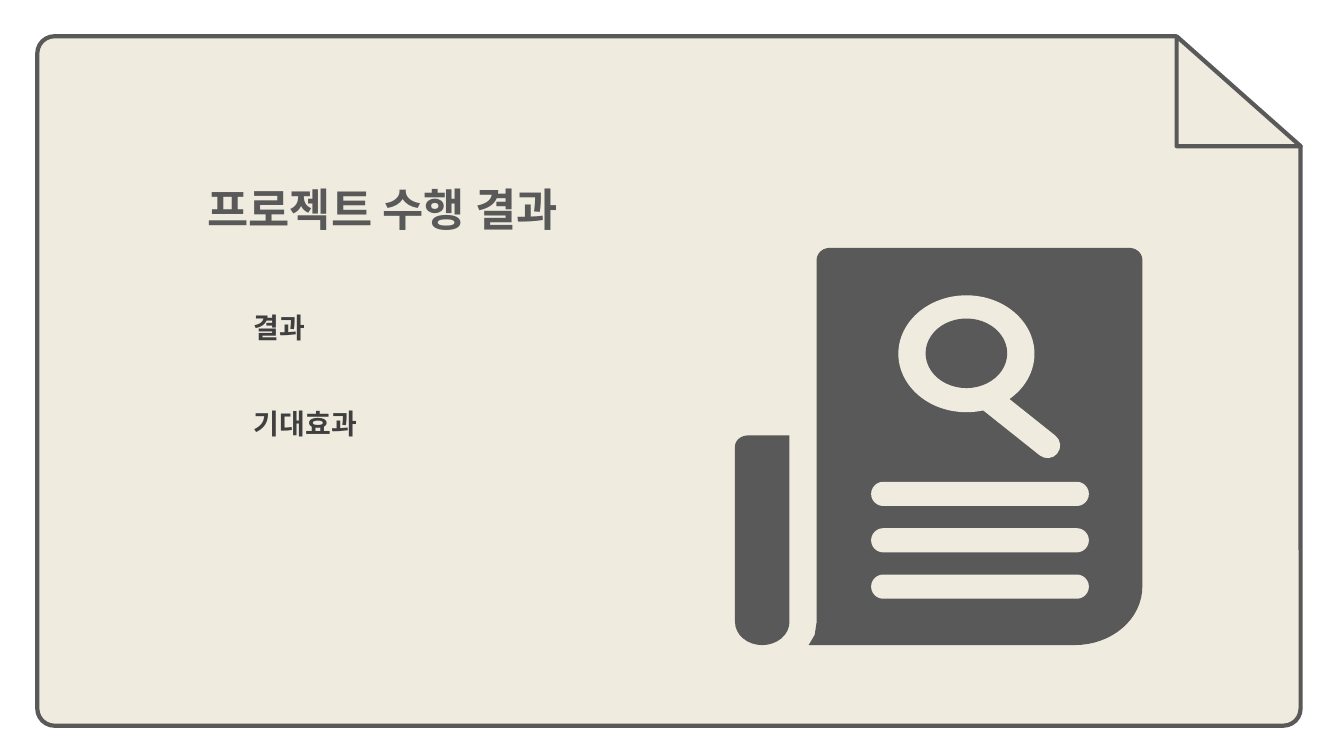
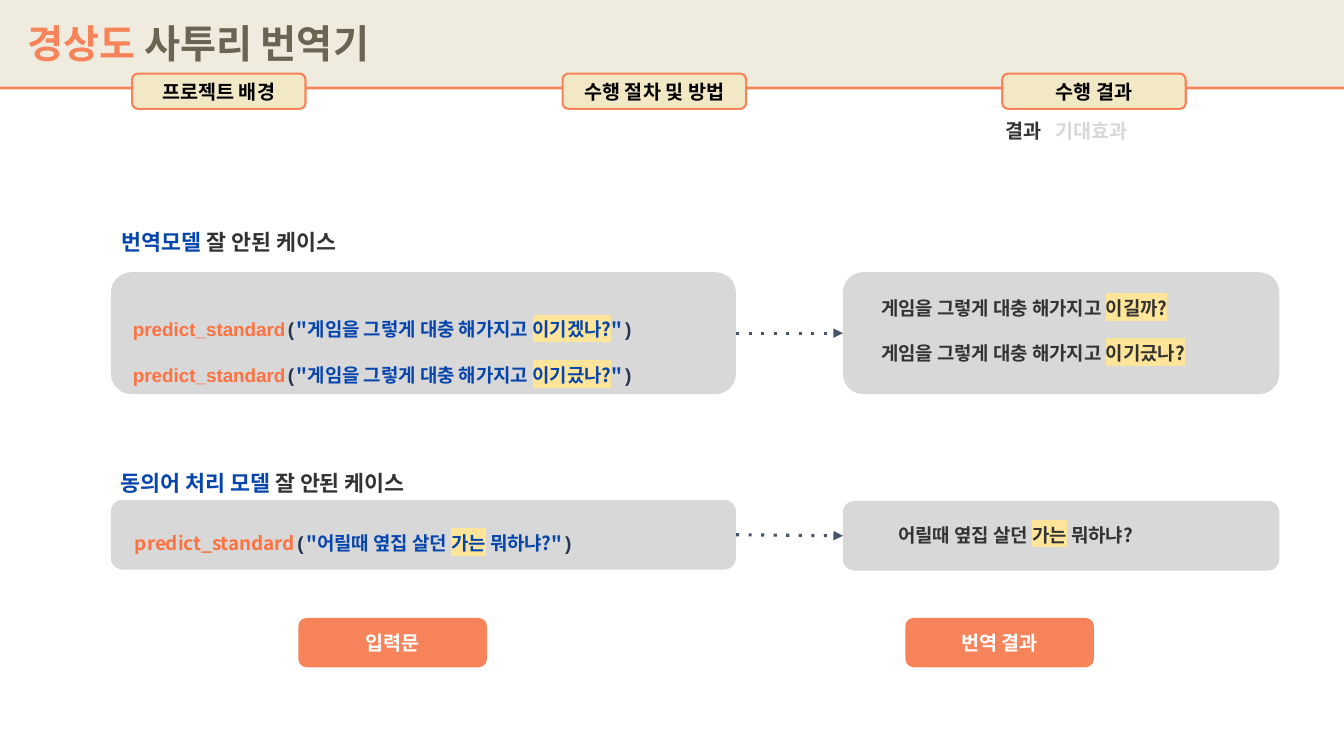
from dataclasses import dataclass
from math import cos, radians, sin

from lxml.etree import SubElement
from pptx import Presentation
from pptx.dml.color import RGBColor
from pptx.enum.shapes import MSO_CONNECTOR as Connector, MSO_SHAPE as Shape
from pptx.enum.text import MSO_ANCHOR as Anchor, PP_ALIGN as Align
from pptx.oxml.ns import qn
from pptx.util import Pt

EMU_PER_PX = 9144  # 100 px to the inch


@dataclass(frozen=True)
class Theme:
    # Colours
    paper: str = "EFEBDF"
    white: str = "FFFFFF"
    ink: str = "595959"
    item: str = "3F3F3F"
    accent: str = "F7835A"
    title: str = "6B6452"
    chip: str = "F3E8C6"
    black: str = "000000"
    panel: str = "D8D8D8"
    body: str = "333333"
    blue: str = "0645AD"
    function: str = "FD7240"
    bracket: str = "273353"
    arrow: str = "44546A"
    marker: str = "FFE599"
    # Fonts
    korean: str = "Noto Sans CJK KR"
    sans: str = "Arial"
    mono: str = "Courier New"
    # Type sizes
    section_size: float = 32
    title_size: float = 28
    item_size: float = 20
    heading_size: float = 15.5
    label_size: float = 14
    example_size: float = 13.5


THEME = Theme()


@dataclass(frozen=True)
class Span:
    text: str
    color: str
    font: str = THEME.korean
    highlight: str = ""


def px(value):
    return round(value * EMU_PER_PX)


def rgb(color):
    return RGBColor.from_string(color)


# Text

def add_span(paragraph, span, size):
    run = paragraph.add_run()
    run.text = span.text
    run.font.size = Pt(size)
    run.font.bold = True
    run.font.color.rgb = rgb(span.color)
    properties = run.font.fill and run._r.get_or_add_rPr()
    if span.highlight:
        highlight = SubElement(properties, qn("a:highlight"))
        SubElement(highlight, qn("a:srgbClr"), val=span.highlight)
    run.font.name = span.font
    SubElement(properties, qn("a:ea"), typeface=THEME.korean)


def write(shape, lines, *, size, align=Align.LEFT, anchor=Anchor.TOP,
          inset=10, line_spacing=None, gap=0):
    """Each line is a list of spans; gap is the space between lines in points."""
    frame = shape.text_frame
    frame.word_wrap = True
    frame.vertical_anchor = anchor
    frame.margin_left = frame.margin_right = px(10)
    frame.margin_top = frame.margin_bottom = px(inset)
    for index, spans in enumerate(lines):
        paragraph = frame.add_paragraph() if index else frame.paragraphs[0]
        paragraph.alignment = align
        paragraph.line_spacing = line_spacing
        if index and gap:
            paragraph.space_before = Pt(gap)
        for span in spans:
            add_span(paragraph, span, size)


def add_text(slide, box, lines, **style):
    shape = slide.shapes.add_textbox(*map(px, box))
    write(shape, lines, **style)


# Shapes

def paint(shape, fill, line=None, width=1.0):
    shape.shadow.inherit = False
    shape.fill.solid()
    shape.fill.fore_color.rgb = rgb(fill)
    if line:
        shape.line.color.rgb = rgb(line)
        shape.line.width = Pt(width)
    else:
        shape.line.fill.background()
    return shape


def add_block(slide, kind, box, fill, line=None, width=1.0, rounding=None):
    shape = slide.shapes.add_shape(kind, *map(px, box))
    if rounding is not None:
        shape.adjustments[0] = rounding
    return paint(shape, fill, line, width)


def add_label(slide, box, text, fill, color, font=THEME.korean, line=None):
    shape = add_block(slide, Shape.ROUNDED_RECTANGLE, box, fill, line, 1.5, 0.167)
    write(shape, [[Span(text, color, font)]], size=THEME.label_size,
          align=Align.CENTER, anchor=Anchor.MIDDLE)


def add_panel(slide, box):
    return add_block(slide, Shape.ROUNDED_RECTANGLE, box, THEME.panel, rounding=0.167)


def add_line(slide, start, end, color, width):
    connector = slide.shapes.add_connector(Connector.STRAIGHT, *map(px, start + end))
    connector.line.color.rgb = rgb(color)
    connector.line.width = Pt(width)
    properties = connector._element.spPr
    SubElement(properties, qn("a:effectLst"))
    return connector, properties.find(qn("a:ln"))


def add_dotted_arrow(slide, source, target):
    connector, outline = add_line(slide, (730, 330), (836, 330), THEME.arrow, 2.25)
    connector.begin_connect(source, 3)
    connector.end_connect(target, 1)
    SubElement(outline, qn("a:prstDash"), val="dot")
    SubElement(outline, qn("a:tailEnd"), type="triangle")


def arc(center_x, center_y, radius_x, radius_y, start, end, steps=16):
    angles = [radians(start + (end - start) * step / steps) for step in range(steps + 1)]
    return [(center_x + radius_x * cos(angle), center_y + radius_y * sin(angle))
            for angle in angles]


def add_outline(slide, points, fill):
    first, *rest = [(px(x), px(y)) for x, y in points]
    builder = slide.shapes.build_freeform(*first)
    builder.add_line_segments(rest, close=True)
    paint(builder.convert_to_shape(), fill)


# Section slide

def add_folded_card(slide):
    add_block(slide, Shape.ROUNDED_RECTANGLE, (37, 36, 1253, 684),
              THEME.paper, THEME.ink, 3, 0.025)
    add_block(slide, Shape.RECTANGLE, (1167, 30, 129, 114), THEME.white)
    add_block(slide, Shape.RIGHT_TRIANGLE, (1167, 36, 123, 109),
              THEME.paper, THEME.ink, 3)


def add_report_icon(slide):
    page = (arc(823, 258, 13, 12, 180, 270) + arc(1120, 258, 13, 12, 270, 360)
            + arc(1066, 582, 67, 58, 0, 90) + [(802, 640), (808, 630), (810, 617)])
    roll = (arc(742, 443, 13, 11, 180, 270) + [(783, 432)]
            + arc(756, 617, 27, 23, 0, 180))
    for points in (page, roll):
        add_outline(slide, points, THEME.ink)
    # Magnifying glass
    _, handle = add_line(slide, (980, 395), (1039, 442), THEME.paper, 18)
    handle.set("cap", "rnd")
    add_block(slide, Shape.OVAL, (891, 293, 135, 116), THEME.paper)
    add_block(slide, Shape.OVAL, (918, 316, 81, 69), THEME.ink)
    # Lines of writing
    for row in range(3):
        add_block(slide, Shape.ROUNDED_RECTANGLE, (864, 478 + 46 * row, 216, 24),
                  THEME.paper, rounding=0.5)


def build_section(slide):
    add_folded_card(slide)
    add_text(slide, (196, 175, 375, 64), [[Span("프로젝트 수행 결과", THEME.ink)]],
             size=THEME.section_size, inset=5)
    for row, text in enumerate(("결과", "기대효과")):
        add_text(slide, (242, 303 + 95 * row, 375, 44), [[Span(text, THEME.item)]],
                 size=THEME.item_size, inset=5)
    add_report_icon(slide)


# Result slide

def add_header(slide):
    band = add_block(slide, Shape.RECTANGLE, (0, 0, 1333, 86), THEME.paper)
    effects = band._element.spPr.find(qn("a:effectLst"))
    shadow = SubElement(effects, qn("a:outerShdw"), blurRad="0", dist=str(Pt(2)),
                        dir="5400000", algn="t", rotWithShape="0")
    SubElement(shadow, qn("a:srgbClr"), val=THEME.accent)
    add_text(slide, (17, 14, 788, 57),
             [[Span("경상도 ", THEME.accent), Span("사투리 번역기", THEME.title)]],
             size=THEME.title_size, inset=5)
    for left, width, text in ((131, 172, "프로젝트 배경"),
                              (558, 182, "수행 절차 및 방법"),
                              (994, 182, "수행 결과")):
        add_label(slide, (left, 73, width, 35), text, THEME.chip, THEME.black,
                  THEME.sans, THEME.accent)
    add_text(slide, (987, 108, 227, 44),
             [[Span("결과\t", THEME.body), Span("기대효과", THEME.panel)]],
             size=THEME.label_size)


def sentence(before, marked, after, color):
    spans = [Span(before, color), Span(marked, color, highlight=THEME.marker)]
    return spans + ([Span(after, color)] if after else [])


def call(before, marked, after, font):
    return [Span("predict_standard", THEME.function, font),
            Span("(", THEME.bracket, THEME.mono),
            *sentence('"' + before, marked, after + '"', THEME.blue),
            Span(")", THEME.bracket, THEME.mono)]


def add_heading(slide, box, subject, line_spacing=None):
    add_text(slide, box, [[Span(subject, THEME.blue), Span(" 잘 안된 케이스", THEME.body)]],
             size=THEME.heading_size, line_spacing=line_spacing)


def add_panel_pair(slide, left_top, right_top, height):
    source = add_panel(slide, (110, left_top, 620, height))
    target = add_panel(slide, (836, right_top, 433, height))
    add_dotted_arrow(slide, source, target)


def add_translation_case(slide):
    game = "게임을 그렇게 대충 해가지고 "
    add_heading(slide, (111, 217, 309, 46), "번역모델")
    add_panel_pair(slide, 270, 270, 121)
    add_text(slide, (122, 283, 594, 88),
             [call(game, ending, "", THEME.sans) for ending in ("이기겠나?", "이기긌나?")],
             size=THEME.example_size, line_spacing=2.0)
    add_text(slide, (864, 284, 377, 88),
             [sentence(game, ending, "", THEME.body) for ending in ("이길까?", "이기긌나?")],
             size=THEME.example_size, gap=16)


def add_synonym_case(slide):
    neighbour = ("어릴때 옆집 살던 ", "가는", " 뭐하냐?")
    add_heading(slide, (110, 447, 413, 46), "동의어 처리 모델", 1.36)
    add_panel_pair(slide, 496, 497, 69)
    add_text(slide, (124, 509, 531, 43), [call(*neighbour, THEME.korean)],
             size=THEME.example_size, line_spacing=1.36)
    add_text(slide, (881, 509, 321, 43), [sentence(*neighbour, THEME.body)],
             size=THEME.example_size)


def build_result(slide):
    add_header(slide)
    add_translation_case(slide)
    add_synonym_case(slide)
    for left, text in ((296, "입력문"), (898, "번역 결과")):
        add_label(slide, (left, 613, 187, 49), text, THEME.accent, THEME.white)


def main():
    presentation = Presentation()
    presentation.slide_width, presentation.slide_height = px(1333), px(750)
    blank = presentation.slide_layouts[6]
    for build in (build_section, build_result):
        build(presentation.slides.add_slide(blank))
    presentation.save("out.pptx")


if __name__ == "__main__":
    main()
